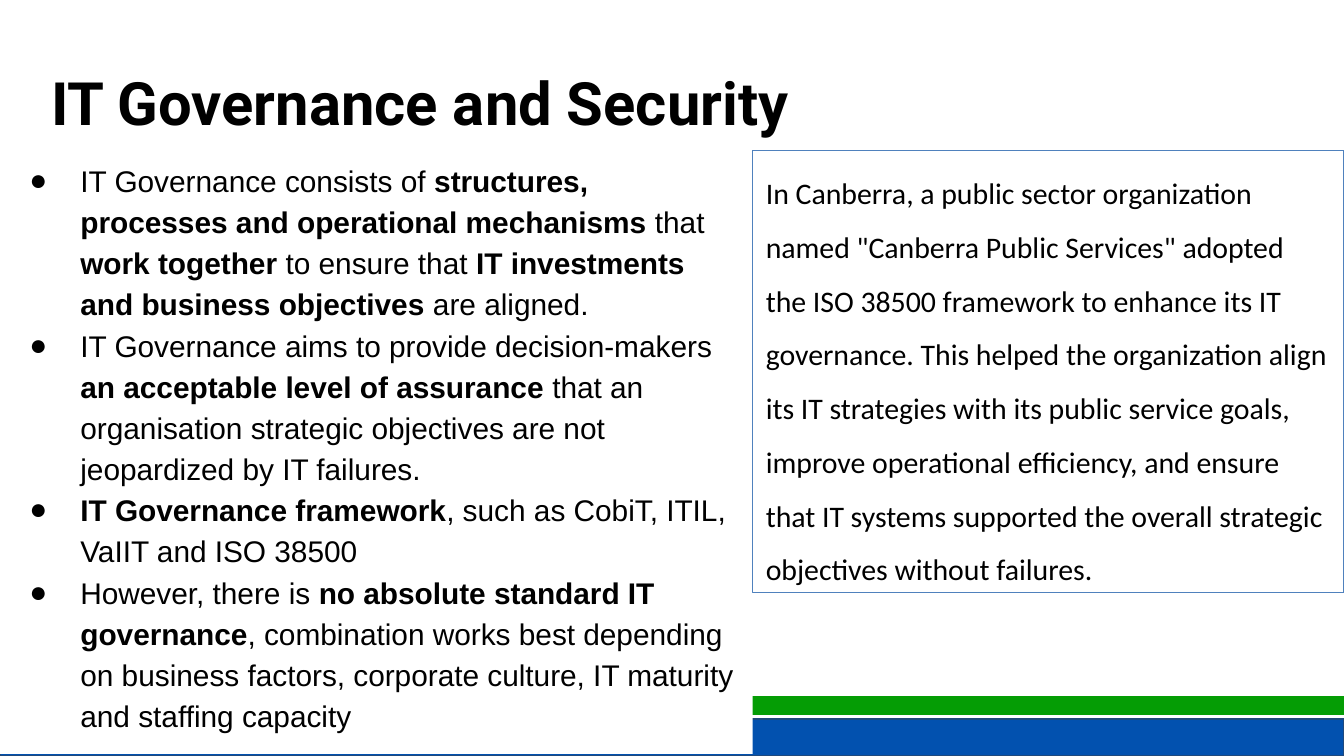
from lxml import etree
from pptx import Presentation, util as u
from pptx.dml.color import RGBColor
from pptx.enum import shapes, text
from pptx.oxml.ns import qn

THEME = {
    "ink": "000000", "paper": "FFFFFF", "blue": "0251AF", "green": "059D05",
    "navy": "1F497D", "edge": "4F81BD",
    "title": {"name": "Roboto", "size": u.Pt(32), "bold": True},
    "points": {"name": "Arial", "size": u.Pt(16)},
    "case": {"name": "Calibri", "size": u.Pt(16)},
}

TITLE = "IT Governance and Security"
# Text between ** marks is bold.
POINTS = [
    "IT Governance consists of **structures, processes and operational mechanisms **that "
    "**work together** to ensure that **IT investments and business objectives** are aligned.",
    "IT Governance aims to provide decision-makers **an acceptable level of assurance** that an "
    "organisation strategic objectives are not jeopardized by IT failures.",
    "**IT Governance framework**, such as CobiT, ITIL, VaIIT and ISO 38500",
    "However, there is **no absolute standard IT governance**, combination works best depending "
    "on business factors, corporate culture, IT maturity and staffing capacity",
]
CASE = (
    'In Canberra, a public sector organization named "Canberra Public Services" adopted the '
    "ISO 38500 framework to enhance its IT governance. This helped the organization align its "
    "IT strategies with its public service goals, improve operational efficiency, and ensure "
    "that IT systems supported the overall strategic objectives without failures."
)

WIDE, SPLIT = 10, 5.6
HIGH = WIDE * 9 / 16
BANDS = [(5.35, 0.27, "blue", "navy"), (5.18, 0.14, "green", None)]


def color(key):
    return RGBColor.from_string(THEME[key])


def add_box(slide, at, fill, line=None):
    box = slide.shapes.add_shape(shapes.MSO_SHAPE.RECTANGLE, *map(u.Inches, at))
    box.shadow.inherit = False
    box.fill.solid()
    box.fill.fore_color.rgb = color(fill)
    if line:
        box.line.color.rgb = color(line)
        box.line.width = u.Pt(0.75)
    else:
        box.line.fill.background()
    return box


def add_dot(para):
    props = para._p.get_or_add_pPr()
    props.set("marL", str(u.Inches(0.5)))
    props.set("indent", str(u.Inches(-0.38)))
    tint = etree.SubElement(props, qn("a:buClr"))
    etree.SubElement(tint, qn("a:srgbClr"), val=THEME["ink"])
    etree.SubElement(props, qn("a:buFont"), typeface="Arial")
    etree.SubElement(props, qn("a:buChar"), char="●")


def fill_text(box, lines, style, space, pad, dots=False):
    """Write lines into box; pad is the side and top inset in inches."""
    frame = box.text_frame
    side, top = map(u.Inches, pad)
    form = {
        "word_wrap": True, "auto_size": text.MSO_AUTO_SIZE.SHAPE_TO_FIT_TEXT,
        "vertical_anchor": text.MSO_ANCHOR.TOP,
        "margin_left": side, "margin_right": side,
        "margin_top": top, "margin_bottom": top,
    }
    for key, val in form.items():
        setattr(frame, key, val)
    for num, line in enumerate(lines):
        para = frame.add_paragraph() if num else frame.paragraphs[0]
        para.alignment = text.PP_ALIGN.LEFT
        para.line_spacing = space
        if dots:
            add_dot(para)
        for part, words in enumerate(line.split("**")):
            if not words:
                continue
            run = para.add_run()
            run.text = words
            for key, val in ({"bold": part % 2 == 1} | THEME[style]).items():
                setattr(run.font, key, val)
            run.font.color.rgb = color("ink")


def main():
    deck = Presentation()
    deck.slide_width, deck.slide_height = u.Inches(WIDE), u.Inches(HIGH)
    slide = deck.slides.add_slide(deck.slide_layouts[6])

    head = slide.shapes.add_textbox(*map(u.Inches, (0.38, 0.38, 8.97, 0.54)))
    fill_text(head, [TITLE], "title", 1.2, (0, 0))

    for top, tall, fill, line in BANDS:
        add_box(slide, (0, top, WIDE, tall), fill, line)

    left = add_box(slide, (0, 1.07, SPLIT, 4.54), "paper")
    fill_text(left, POINTS, "points", 1.15, (0.1, 0.1), dots=True)

    right = add_box(slide, (SPLIT, 1.12, WIDE - SPLIT, 3.29), "paper", "edge")
    fill_text(right, [CASE], "case", 1.5, (0.1, 0.05))

    deck.save("out.pptx")


if __name__ == "__main__":
    main()
